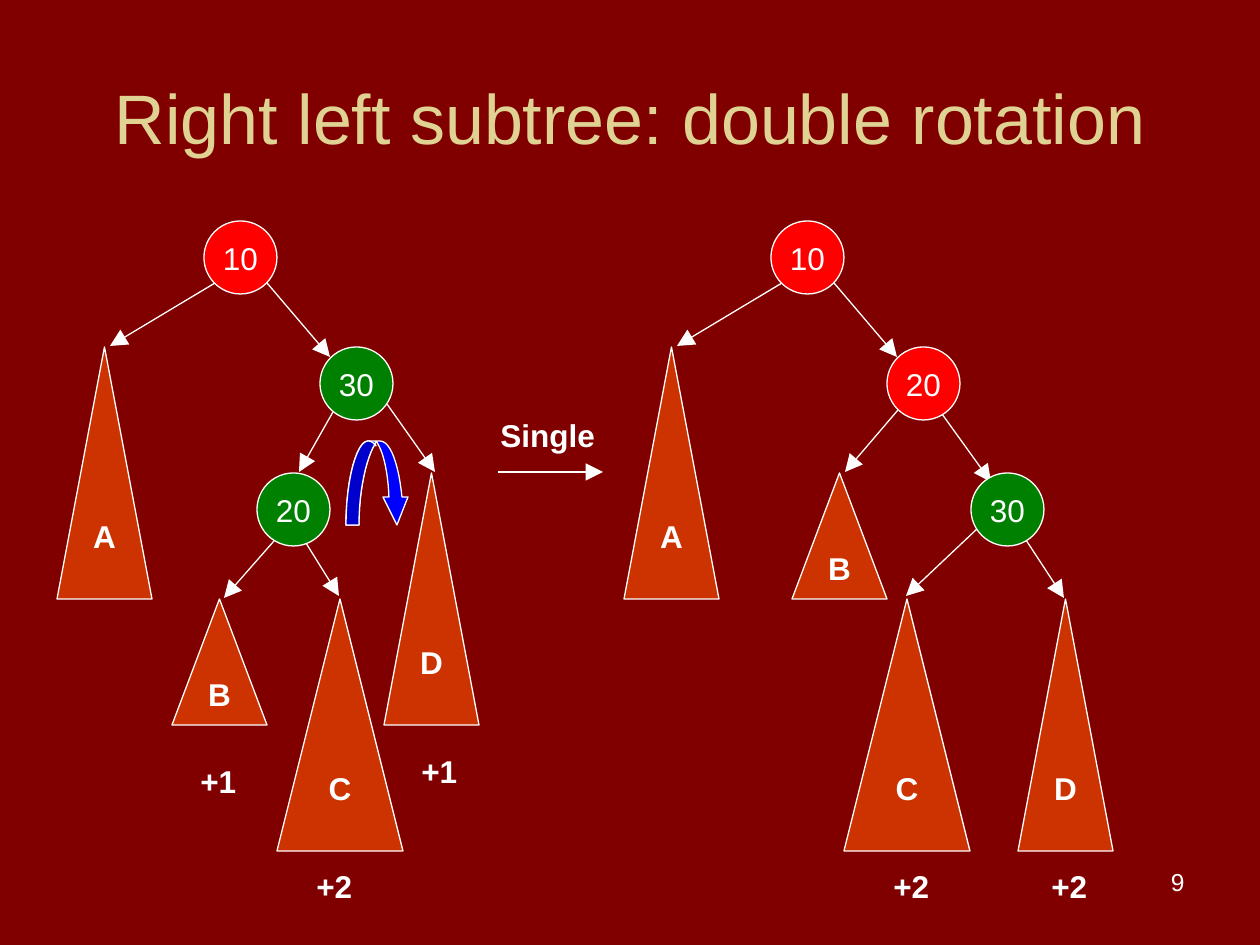
"""Build a slide showing the first rotation of a right left double rotation."""
import pptx
import pptx.dml.color
import pptx.enum.shapes
import pptx.enum.text
import pptx.util
from lxml import etree

SCALE = 914400 / 126
NAMESPACE = "{http://schemas.openxmlformats.org/drawingml/2006/main}"
WHITE, RED, GREEN, ORANGE = "FFFFFF", "FF0000", "008000", "CC3300"
ALIGN = pptx.enum.text.PP_ALIGN
ANCHOR = pptx.enum.text.MSO_ANCHOR
AUTO_SIZE = pptx.enum.text.MSO_AUTO_SIZE
SHAPE = pptx.enum.shapes.MSO_SHAPE
TREE_SHIFT = 567
NODE_SIZE = 73


def paint(color_format, hex_color):
    color_format.rgb = pptx.dml.color.RGBColor.from_string(hex_color)


def write(shape, text, size=18, color=WHITE, bold=False, align=ALIGN.CENTER,
          anchor=ANCHOR.MIDDLE, wrap=False, auto_size=AUTO_SIZE.NONE):
    text_frame = shape.text_frame
    text_frame.text = text
    text_frame.word_wrap = wrap
    text_frame.auto_size = auto_size
    text_frame.vertical_anchor = anchor
    paragraph = text_frame.paragraphs[0]
    paragraph.alignment = align
    font = paragraph.runs[0].font
    font.name, font.size, font.bold = "Arial", pptx.util.Pt(size), bold
    paint(font.color, color)


presentation = pptx.Presentation()
presentation.slide_width = round(1260 * SCALE)
presentation.slide_height = round(945 * SCALE)
slide = presentation.slides.add_slide(presentation.slide_layouts[6])
slide.background.fill.solid()
paint(slide.background.fill.fore_color, "800000")

arrows = [
    (333, 412, 299, 472), (387, 404, 435, 472),
    (274, 541, 224, 598), (306, 543, 339, 596),
    (498, 472, 603, 472),
    (898, 410, 845, 472), (942, 414, 991, 482),
    (977, 529, 906, 596), (1026, 540, 1064, 598),
]
nodes = [
    ("30", 320, 347, GREEN), ("20", 257, 473, GREEN),
    ("20", 887, 347, RED), ("30", 971, 473, GREEN),
]
subtrees = [
    ("D", 384, 473, 95, 252), ("B", 172, 599, 95, 126),
    ("D", 1018, 599, 95, 252), ("B", 792, 473, 95, 126),
]
for shift in (0, TREE_SHIFT):
    arrows += [(215 + shift, 283, 110 + shift, 346),
               (267 + shift, 283, 330 + shift, 357)]
    nodes.append(("10", 204 + shift, 221, RED))
    subtrees += [("A", 57 + shift, 347, 95, 252),
                 ("C", 277 + shift, 599, 126, 252)]

for arrow in arrows:
    connector = slide.shapes.add_connector(
        pptx.enum.shapes.MSO_CONNECTOR.STRAIGHT, *[round(value * SCALE) for value in arrow])
    connector.line.width = pptx.util.Pt(0.75)
    paint(connector.line.color, WHITE)
    etree.SubElement(connector.line._get_or_add_ln(), NAMESPACE + "tailEnd",
                     type="triangle", w="lg", len="lg")
    etree.SubElement(connector._element.spPr, NAMESPACE + "effectLst")

solids = [(SHAPE.ISOSCELES_TRIANGLE, label, box, ORANGE, True)
          for label, *box in subtrees]
solids += [(SHAPE.OVAL, label, (left, top, NODE_SIZE, NODE_SIZE), color, False)
           for label, left, top, color in nodes]
for kind, label, box, color, bold in solids:
    shape = slide.shapes.add_shape(kind, *[round(value * SCALE) for value in box])
    shape.shadow.inherit = False
    shape.fill.solid()
    paint(shape.fill.fore_color, color)
    paint(shape.line.color, WHITE)
    shape.line.width = pptx.util.Pt(0.75)
    write(shape, label, bold=bold)

rise = (346, 479, 357, 441, 368, 441)
inner_edge = [(375, 444), (367, 457, 359, 488, 359, 525)]
rotation_arrow = [
    rise, (380, 441), (391, 441, 399, 466, 402, 497), (408, 497), (397, 525),
    (383, 497), (389, 497), (388, 471, 383, 450, 376, 441), *inner_edge,
]
rotation_tail = [rise, (371, 441, 374, 443, 376, 446), *inner_edge]
for outline, color in ((rotation_arrow, "0000FF"), (rotation_tail, "0000CC")):
    points = [(346, 525)]
    for segment in outline:
        if len(segment) == 2:
            points.append(segment)
            continue
        start = points[-1]
        controls = [start, segment[:2], segment[2:4], segment[4:]]
        for step in range(1, 13):
            t = step / 12
            weights = ((1 - t) ** 3, 3 * t * (1 - t) ** 2, 3 * t ** 2 * (1 - t), t ** 3)
            points.append(tuple(sum(weight * control[axis] for weight, control
                                    in zip(weights, controls)) for axis in (0, 1)))
    corners = [(round(x * SCALE), round(y * SCALE)) for x, y in points]
    builder = slide.shapes.build_freeform(*corners[0])
    builder.add_line_segments(corners[1:], close=True)
    shape = builder.convert_to_shape()
    shape.shadow.inherit = False
    shape.fill.solid()
    paint(shape.fill.fore_color, color)
    paint(shape.line.color, WHITE)
    shape.line.width = pptx.util.Pt(0.75)

label_style = dict(bold=True, align=ALIGN.LEFT, anchor=ANCHOR.TOP,
                   auto_size=AUTO_SIZE.SHAPE_TO_FIT_TEXT)
texts = [
    ("Right left subtree: double rotation", (63, 38, 1134, 157),
     dict(size=40, color="DFD293", wrap=True)),
    ("Single", (488, 410, 120, 50), label_style),
    ("9", (903, 861, 294, 66),
     dict(size=14, align=ALIGN.RIGHT, anchor=ANCHOR.TOP, wrap=True)),
]
texts += [(balance, (left, top, 62, 50), label_style) for balance, left, top in (
    ("+2", 304, 861), ("+1", 188, 756), ("+1", 409, 746),
    ("+2", 881, 861), ("+2", 1039, 861))]
for text, box, style in texts:
    text_box = slide.shapes.add_textbox(*[round(value * SCALE) for value in box])
    write(text_box, text, **style)

presentation.save("out.pptx")
